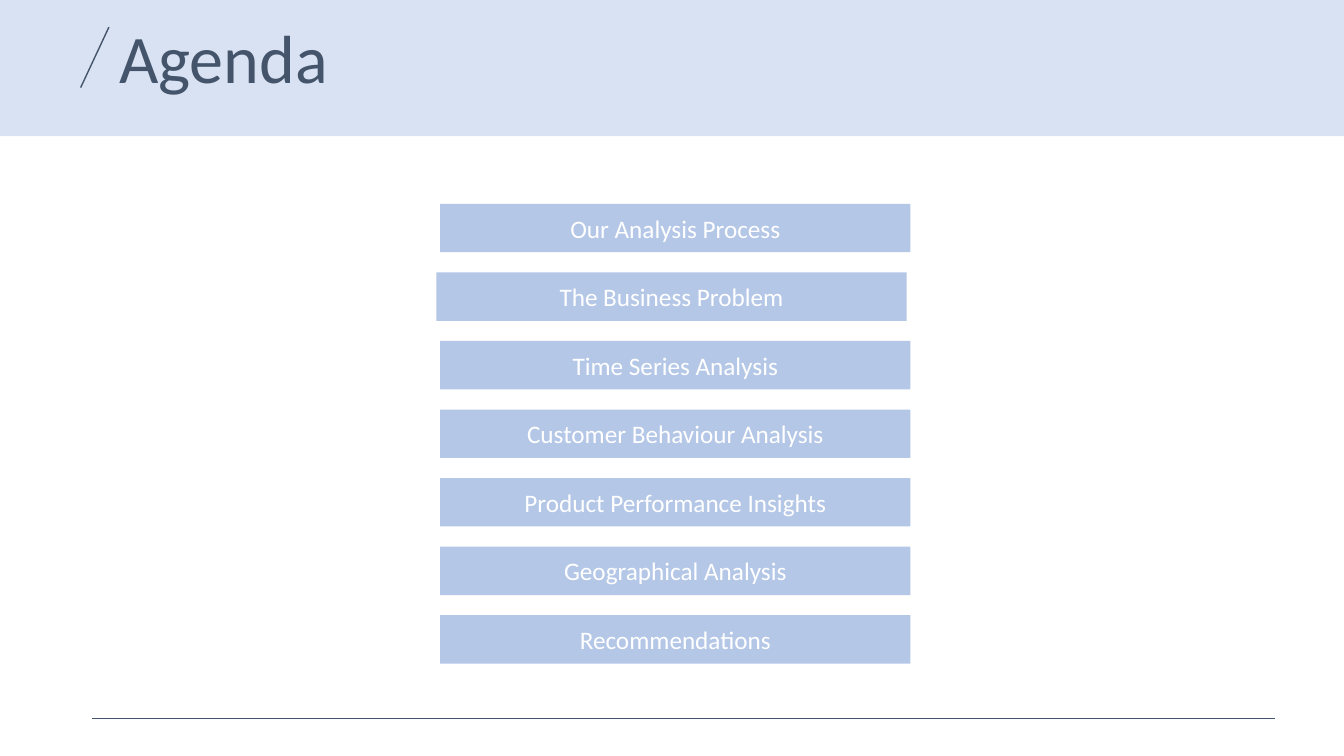
from dataclasses import dataclass

import pptx
import pptx.dml.color
import pptx.enum.shapes
import pptx.enum.text
import pptx.oxml
import pptx.oxml.ns
import pptx.util
from lxml import etree

Pt = pptx.util.Pt
RGB = pptx.dml.color.RGBColor.from_string
qn = pptx.oxml.ns.qn


@dataclass(frozen=True)
class Theme:
    font: str = "Calibri"
    ink: str = "44546A"
    band: str = "4472C4"
    band_opacity: int = 20
    bar: str = "B4C7E7"
    bar_text: str = "FFFFFF"
    title_size: float = 48.6
    bar_size: float = 18
    line_width: float = 1


THEME = Theme()
SLIDE_W, SLIDE_H = 960, 540
TOPICS = [
    "Our Analysis Process",
    "The Business Problem",
    "Time Series Analysis",
    "Customer Behaviour Analysis",
    "Product Performance Insights",
    "Geographical Analysis",
    "Recommendations",
]
NUDGES = {"The Business Problem": -2.8}


def write_text(tf, text, *, size, color, align, anchor, spacing=None):
    tf.word_wrap = True
    tf.auto_size = pptx.enum.text.MSO_AUTO_SIZE.NONE
    tf.vertical_anchor = anchor
    p = tf.paragraphs[0]
    p.alignment = align
    p.line_spacing = spacing
    r = p.add_run()
    r.text = text
    r.font.name = THEME.font
    r.font.size = Pt(size)
    r.font.color.rgb = RGB(color)


def add_box(s, x, y, w, h, color):
    sp = s.shapes.add_shape(
        pptx.enum.shapes.MSO_SHAPE.RECTANGLE, Pt(x), Pt(y), Pt(w), Pt(h))
    sp.shadow.inherit = False
    sp.fill.solid()
    sp.fill.fore_color.rgb = RGB(color)
    sp.line.fill.background()
    return sp


def add_rule(s, x1, y1, x2, y2):
    line = s.shapes.add_connector(
        pptx.enum.shapes.MSO_CONNECTOR.STRAIGHT, Pt(x1), Pt(y1), Pt(x2), Pt(y2))
    line.line.color.rgb = RGB(THEME.ink)
    line.line.width = Pt(THEME.line_width)
    etree.SubElement(line.element.spPr, qn("a:effectLst"))


def add_header(s, x, y, w, h, text):
    """Tinted band with a slash and the slide title on top of it."""
    band = add_box(s, x, y, w, h, THEME.band)
    tint = band.element.spPr.find(".//" + qn("a:srgbClr"))
    etree.SubElement(tint, qn("a:alpha"), val=str(THEME.band_opacity * 1000))

    title = s.shapes.title
    title.element.addprevious(band.element)
    title.left, title.top = Pt(x + 77.8), Pt(y + 26.6)
    title.width, title.height = Pt(454.3), Pt(47.5)
    write_text(title.text_frame, text, size=THEME.title_size, color=THEME.ink,
               align=pptx.enum.text.PP_ALIGN.LEFT,
               anchor=pptx.enum.text.MSO_ANCHOR.BOTTOM, spacing=0.9)
    add_rule(s, x + 77.8, y + 19.4, x + 57.6, y + 62.6)


def add_agenda(s, x, y, w, h, topics, bar_h=34.6):
    """Equal bars spread evenly over the height of the box."""
    pitch = (h - bar_h) / (len(topics) - 1)
    for i, topic in enumerate(topics):
        bar = add_box(s, x + NUDGES.get(topic, 0), y + i * pitch, w, bar_h, THEME.bar)
        write_text(bar.text_frame, topic, size=THEME.bar_size, color=THEME.bar_text,
                   align=pptx.enum.text.PP_ALIGN.CENTER,
                   anchor=pptx.enum.text.MSO_ANCHOR.MIDDLE)


def main():
    prs = pptx.Presentation()
    prs.slide_width, prs.slide_height = Pt(SLIDE_W), Pt(SLIDE_H)
    s = prs.slides.add_slide(prs.slide_layouts.get_by_name("Title Only"))
    add_header(s, 0, 0, SLIDE_W, 97.2, "Agenda")
    add_rule(s, 910.4, 513.3, 66, 513.3)
    add_agenda(s, 314.4, 145.6, 336, 328.4, TOPICS)
    prs.save("out.pptx")


if __name__ == "__main__":
    main()
